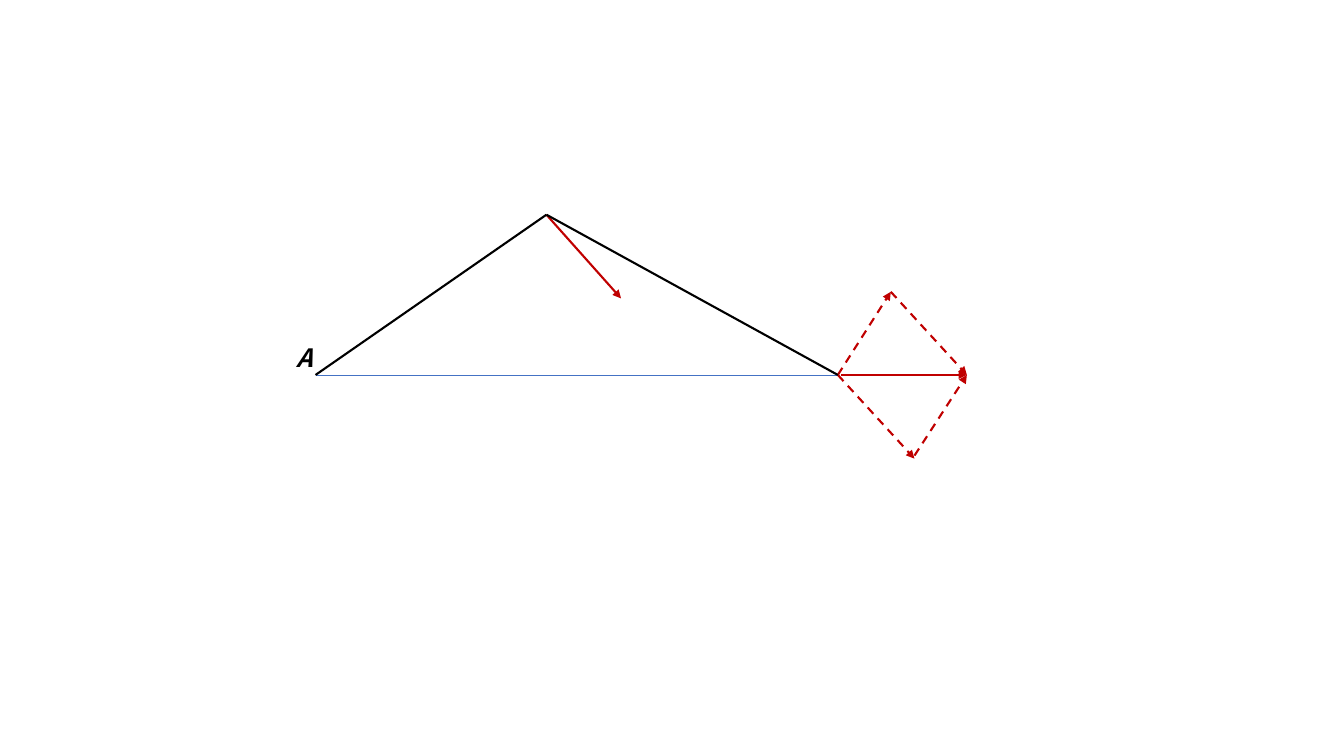
from lxml import etree
from pptx import Presentation, util as u
from pptx.dml.color import RGBColor
from pptx.enum import dml, shapes, text
from pptx.oxml import ns

BLACK = RGBColor(0x00, 0x00, 0x00)
BLUE = RGBColor(0x44, 0x72, 0xC4)
RED = RGBColor(0xC0, 0x00, 0x00)
FONT = "Noto Sans CJK SC"
WIDTH, HEIGHT = u.Inches(13.33), u.Inches(7.5)

# Points of the diagram, in percent of the slide's width and height
A = (23.48, 49.6)
APEX = (40.66, 28.4)
B = (62.34, 49.6)
APEX_TIP = (46.21, 39.47)
UPPER = (66.28, 38.6)
LOWER = (68.04, 60.67)
TIP = (71.94, 49.6)


def place(point):
    """Turn a point in percent into slide lengths."""
    x, y = point
    return int(WIDTH * x / 100), int(HEIGHT * y / 100)


def add_line(s, start, end, color, width=1.5, arrow=False, dashed=False):
    line = s.shapes.add_connector(
        shapes.MSO_CONNECTOR.STRAIGHT, *place(start), *place(end))
    line.line.color.rgb = color
    line.line.width = u.Pt(width)
    if dashed:
        line.line.dash_style = dml.MSO_LINE.DASH
    if arrow:
        ln = line.line._get_or_add_ln()
        etree.SubElement(ln, ns.qn("a:tailEnd"), type="triangle")
    etree.SubElement(line._element.spPr, ns.qn("a:effectLst"))


def add_label(s, label, corner, size):
    sp = s.shapes.add_textbox(*place(corner), *place(size))
    tf = sp.text_frame
    tf.word_wrap = True
    tf.auto_size = text.MSO_AUTO_SIZE.SHAPE_TO_FIT_TEXT
    r = tf.paragraphs[0].add_run()
    r.text = label
    style = {"name": FONT, "size": u.Pt(18), "bold": True, "italic": True}
    for key, value in style.items():
        setattr(r.font, key, value)
    r.font.color.rgb = BLACK


def main():
    prs = Presentation()
    prs.slide_width, prs.slide_height = WIDTH, HEIGHT
    s = prs.slides.add_slide(prs.slide_layouts[6])

    # Base line and the arrow at the apex
    add_line(s, A, B, BLUE, width=0.5)
    add_line(s, APEX, APEX_TIP, RED, arrow=True)

    # Parallelogram of arrows at the right end, with its diagonal
    add_line(s, B, LOWER, RED, arrow=True, dashed=True)
    add_line(s, B, UPPER, RED, arrow=True, dashed=True)
    add_line(s, (62.57, 49.6), TIP, RED, arrow=True)
    add_line(s, UPPER, TIP, RED, arrow=True, dashed=True)
    add_line(s, (68.04, 60.27), TIP, RED, arrow=True, dashed=True)

    # Upper sides of the triangle
    add_line(s, A, APEX, BLACK)
    add_line(s, APEX, B, BLACK)

    add_label(s, "A", (21.3, 44.67), (2.03, 5.33))
    prs.save("out.pptx")


if __name__ == "__main__":
    main()
